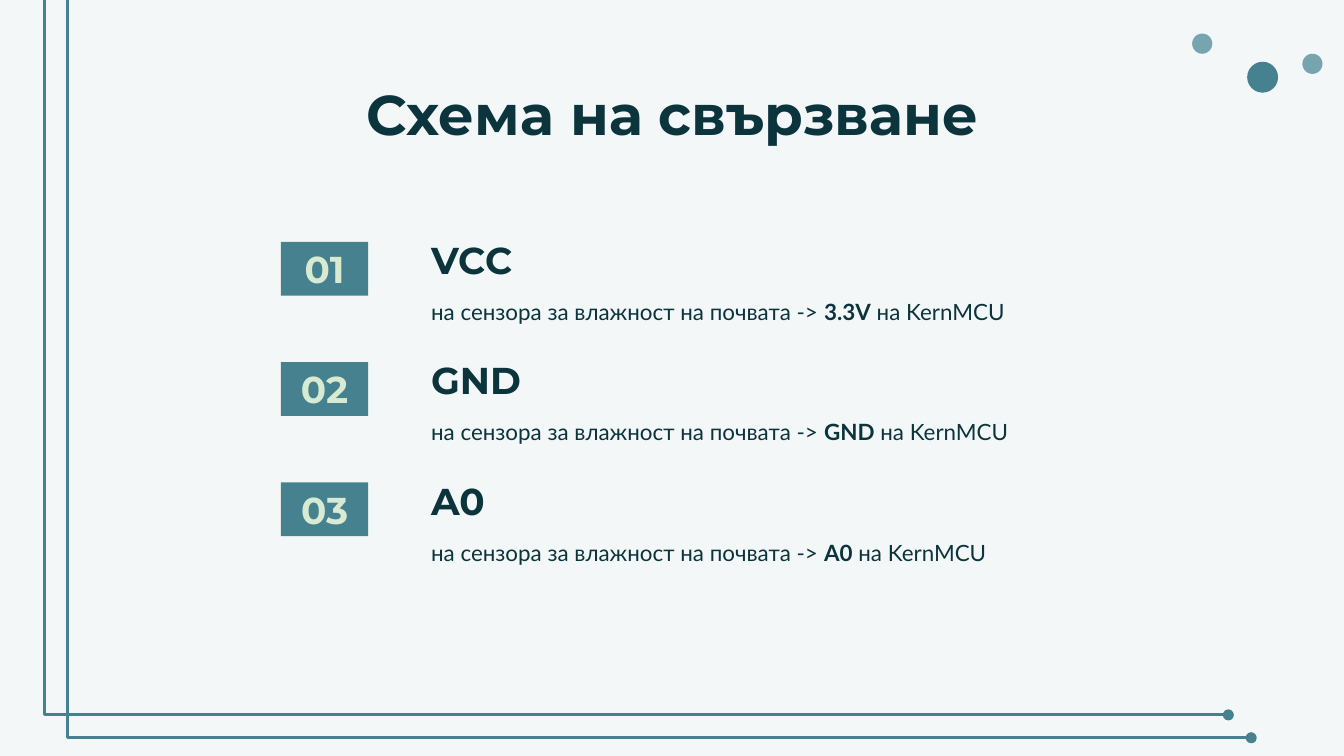
from lxml import etree
from pptx import Presentation
from pptx.dml.color import RGBColor
from pptx.enum import shapes, text
from pptx.oxml import ns
from pptx.util import Inches, Pt

COLORS = {
    "background": "F3F7F8",
    "teal": "45818E",
    "light_teal": "76A5AF",
    "dark": "0C343D",
    "pale": "D9EAD3",
}
HEADING_FONT = "Montserrat"
BODY_FONT = "Lato"
DOTS = [
    (9.28, 0.46, 0.23, "teal"),
    (8.87, 0.25, 0.15, "light_teal"),
    (9.69, 0.4, 0.15, "light_teal"),
]
PINS = [("VCC", "3.3V"), ("GND", "GND"), ("A0", "A0")]
FIRST_ROW, ROW_STEP = 1.8, 0.895


def color(name):
    return RGBColor.from_string(COLORS[name])


def add_filled(page, kind, left, top, width, height, fill):
    shape = page.shapes.add_shape(
        kind, Inches(left), Inches(top), Inches(width), Inches(height))
    shape.shadow.inherit = False
    shape.fill.solid()
    shape.fill.fore_color.rgb = color(fill)
    shape.line.fill.background()
    return shape


def add_frame_line(page, left, top, right, bottom):
    line = page.shapes.add_connector(
        shapes.MSO_CONNECTOR.ELBOW,
        Inches(left), Inches(top), Inches(right), Inches(bottom))
    line.line.color.rgb = color("teal")
    line.line.width = Pt(1.5)
    properties = line._element.spPr
    guides = properties.find(ns.qn("a:prstGeom")).get_or_add_avLst()
    etree.SubElement(guides, ns.qn("a:gd"), name="adj1", fmla="val -950")
    outline = properties.find(ns.qn("a:ln"))
    etree.SubElement(outline, ns.qn("a:tailEnd"), type="oval")
    etree.SubElement(properties, ns.qn("a:effectLst"))


def add_text(page, left, top, width, height):
    return page.shapes.add_textbox(
        Inches(left), Inches(top), Inches(width), Inches(height))


def write(box, runs, font, size, fill, anchor=text.MSO_ANCHOR.TOP,
          align=text.PP_ALIGN.LEFT, spacing=None):
    frame = box.text_frame
    frame.word_wrap = True
    frame.vertical_anchor = anchor
    frame.margin_left = frame.margin_right = Inches(0.1)
    frame.margin_top = frame.margin_bottom = Inches(0.1)
    para = frame.paragraphs[0]
    para.alignment = align
    para.line_spacing = spacing
    for words, bold in runs:
        span = para.add_run()
        span.text = words
        span.font.name = font
        span.font.size = Pt(size)
        span.font.bold = bold
        span.font.color.rgb = color(fill)


def add_pin_row(page, number, pin, target):
    top = FIRST_ROW + (number - 1) * ROW_STEP
    badge = add_filled(page, shapes.MSO_SHAPE.RECTANGLE,
                       2.09, top, 0.65, 0.4, "teal")
    write(badge, [(f"{number:02}", True)], HEADING_FONT, 20, "pale",
          anchor=text.MSO_ANCHOR.MIDDLE, align=text.PP_ALIGN.CENTER)
    heading = add_text(page, 3.11, top, 4.64, 0.4)
    write(heading, [(pin, True)], HEADING_FONT, 20, "dark",
          anchor=text.MSO_ANCHOR.BOTTOM, spacing=1.15)
    detail = add_text(page, 3.11, top + 0.29, 4.64, 0.4)
    runs = [("на сензора за влажност на почвата -> ", False),
            (target, True), (" на KernMCU", False)]
    write(detail, runs, BODY_FONT, 12, "dark", spacing=1.15)


def main():
    deck = Presentation()
    deck.slide_width, deck.slide_height = Inches(10), Inches(5.625)
    page = deck.slides.add_slide(deck.slide_layouts[6])
    page.background.fill.solid()
    page.background.fill.fore_color.rgb = color("background")

    for left, top, size, fill in DOTS:
        add_filled(page, shapes.MSO_SHAPE.OVAL, left, top, size, size, fill)
    for shift in (0, 0.17):
        add_frame_line(page, 0.41 + shift, -0.24 + shift,
                       9.14 + shift, 5.32 + shift)

    title = add_text(page, 0.79, 0.49, 8.43, 0.63)
    write(title, [("Схема на свързване", True)], HEADING_FONT, 30, "dark",
          align=text.PP_ALIGN.CENTER)
    for number, (pin, target) in enumerate(PINS, start=1):
        add_pin_row(page, number, pin, target)
    deck.save("out.pptx")


if __name__ == "__main__":
    main()
